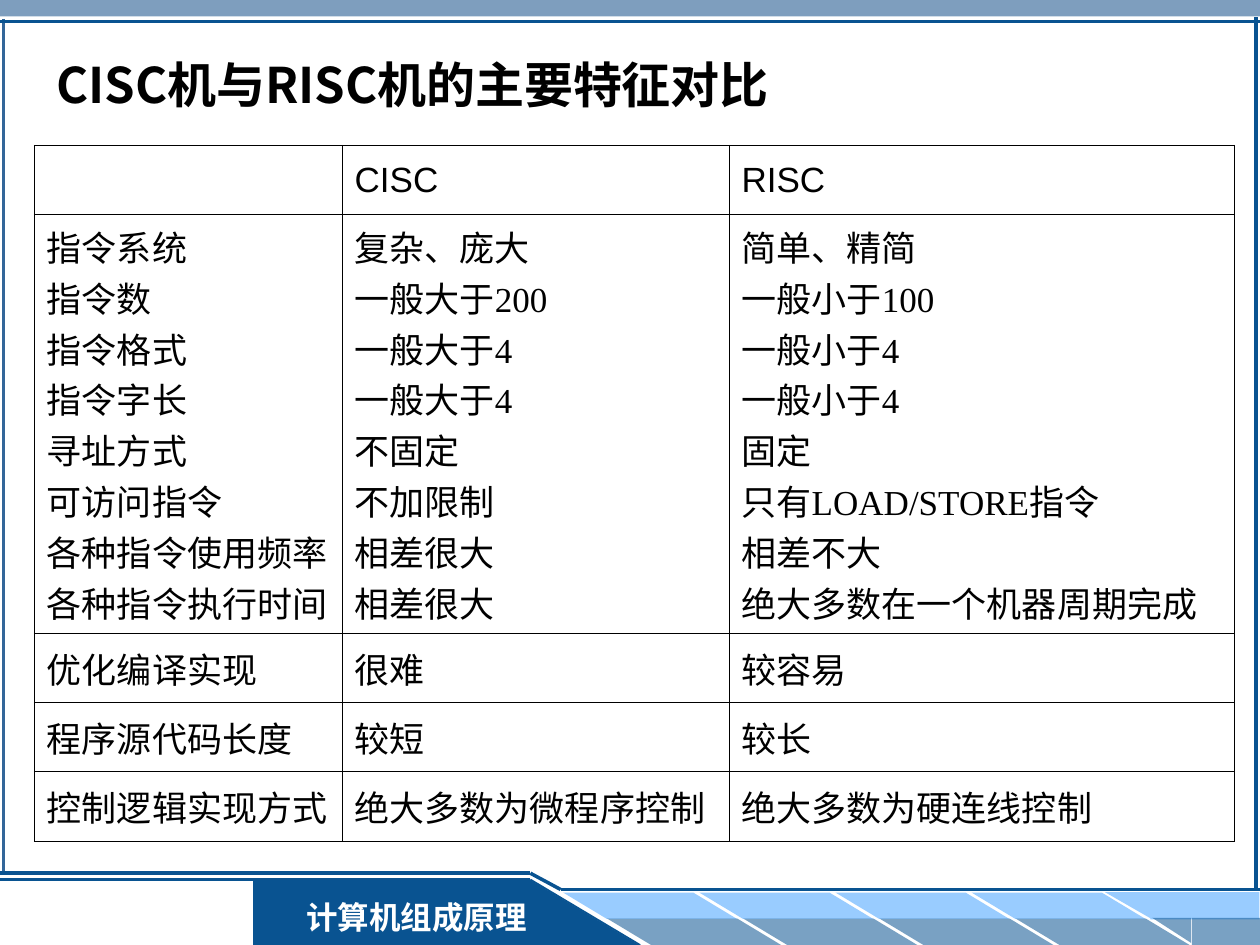
from lxml import etree
from pptx import Presentation
from pptx.dml.color import RGBColor
from pptx.enum.shapes import MSO_CONNECTOR, MSO_SHAPE
from pptx.enum.text import MSO_ANCHOR, PP_ALIGN
from pptx.oxml.ns import qn
from pptx.util import Pt

RECT, SLANT, TRIANGLE = MSO_SHAPE.RECTANGLE, MSO_SHAPE.PARALLELOGRAM, MSO_SHAPE.RIGHT_TRIANGLE
STRAIGHT = MSO_CONNECTOR.STRAIGHT
MIDDLE = MSO_ANCHOR.MIDDLE
LEFT, CENTER = PP_ALIGN.LEFT, PP_ALIGN.CENTER
COLORS = {"navy": "095391", "steel": "336699", "sky": "99CCFF", "black": "000000", "white": "FFFFFF"}
CJK, SERIF, SANS = "Noto Sans CJK SC", "Times New Roman", "Arial"
COLUMNS = [175.9, 221.1, 289.1]
ROWS = [39.6, 239.2, 39.6, 39.6, 39.6]
FEATURES = [
    ["", "CISC", "RISC"],
    [
        "指令系统\n指令数\n指令格式\n指令字长\n寻址方式\n可访问指令\n各种指令使用频率\n各种指令执行时间",
        "复杂、庞大\n一般大于200\n一般大于4\n一般大于4\n不固定\n不加限制\n相差很大\n相差很大",
        "简单、精简\n一般小于100\n一般小于4\n一般小于4\n固定\n只有LOAD/STORE指令\n相差不大\n绝大多数在一个机器周期完成",
    ],
    ["优化编译实现", "很难", "较容易"],
    ["程序源代码长度", "较短", "较长"],
    ["控制逻辑实现方式", "绝大多数为微程序控制", "绝大多数为硬连线控制"],
]


class SlideBuilder:
    """Holds the style and the current slide, and adds elements to it."""

    def __init__(self, page):
        self.page = page

    def color(self, name):
        return RGBColor.from_string(COLORS[name])

    def shape(self, kind, left, top, width, height, fill, alpha=100, flip="", slant=None):
        shape = self.page.shapes.add_shape(kind, Pt(left), Pt(top), Pt(width), Pt(height))
        shape.shadow.inherit = False
        shape.line.fill.background()
        shape.fill.solid()
        shape.fill.fore_color.rgb = self.color(fill)
        properties = shape.element.spPr
        if alpha < 100:
            tint = properties.find(qn("a:solidFill"))[0]
            etree.SubElement(tint, qn("a:alpha"), val=str(alpha * 1000))
        for axis in flip:
            properties.find(qn("a:xfrm")).set("flip" + axis, "1")
        if slant:
            shape.adjustments[0] = slant
        return shape

    def line(self, x1, y1, x2, y2, color="navy", width=2):
        line = self.page.shapes.add_connector(STRAIGHT, Pt(x1), Pt(y1), Pt(x2), Pt(y2))
        line.line.color.rgb = self.color(color)
        line.line.width = Pt(width)
        etree.SubElement(line.element.spPr, qn("a:effectLst"))

    def fill_text(self, frame, text, size, font=SERIF, color="black", bold=False, align=LEFT):
        frame.word_wrap = True
        frame.vertical_anchor = MIDDLE
        frame.text = text
        style = {"name": font, "size": Pt(size), "bold": bold}
        for para in frame.paragraphs:
            para.alignment = align
            for span in para.runs:
                for key, value in style.items():
                    setattr(span.font, key, value)
                span.font.color.rgb = self.color(color)
                latin = span.font._element.find(qn("a:latin"))
                latin.addnext(latin.makeelement(qn("a:ea"), {"typeface": CJK}))

    def text(self, left, top, width, height, text, size, **style):
        box = self.page.shapes.add_textbox(Pt(left), Pt(top), Pt(width), Pt(height))
        self.fill_text(box.text_frame, text, size, **style)

    def border(self, cell):
        properties = cell._tc.get_or_add_tcPr()
        for position, side in enumerate(("lnL", "lnR", "lnT", "lnB")):
            edge = properties.makeelement(qn("a:" + side), {"w": str(Pt(0.45))})
            paint = etree.SubElement(edge, qn("a:solidFill"))
            etree.SubElement(paint, qn("a:srgbClr"), val=COLORS["black"])
            properties.insert(position, edge)

    def table(self, left, top, columns, rows, content):
        frame = self.page.shapes.add_table(
            len(rows), len(columns), Pt(left), Pt(top), Pt(sum(columns)), Pt(sum(rows)))
        table = frame.table
        table.first_row = table.horz_banding = False
        for column, width in zip(table.columns, columns):
            column.width = Pt(width)
        for number, (row, height, texts) in enumerate(zip(table.rows, rows, content)):
            row.height = Pt(height)
            for cell, text in zip(row.cells, texts):
                cell.fill.background()
                cell.vertical_anchor = MIDDLE
                cell.margin_left = cell.margin_right = Pt(7.2)
                cell.margin_top = cell.margin_bottom = Pt(3.6)
                self.fill_text(cell.text_frame, text, 20, font=SERIF if number else SANS)
                self.border(cell)

    def frame(self):
        self.shape(RECT, 0, 0, 720, 9.4, "steel", alpha=63)
        self.line(2, 10.8, 2, 499, color="steel")
        self.line(0, 12.2, 720, 12.2)
        self.line(717.8, 10, 717.8, 509)

    def footer(self):
        self.shape(RECT, 144.7, 502.6, 158.6, 37.4, "navy")
        self.line(365.8, 540, 303.1, 502.6, width=1)
        self.line(303.1, 502.6, 0, 502.6, width=1.5)
        self.line(-0.7, 499, 303.1, 499)
        for index in range(4):
            left = 321.8 + 77.8 * index
            self.shape(SLANT, left, 510, 99.4, 15.1, "sky", flip="H", slant=1.66)
            self.shape(SLANT, left + 25.2, 524.9, 99.4, 15.1, "navy", alpha=54, flip="H", slant=1.66)
        self.shape(RECT, 657.4, 509.8, 62.3, 15.5, "sky")
        self.shape(TRIANGLE, 631.4, 509.8, 27, 15.5, "sky", flip="HV")
        self.shape(RECT, 681.1, 524.5, 38.9, 15.5, "navy", alpha=54)
        self.shape(TRIANGLE, 658.4, 524.5, 22.3, 14.4, "navy", alpha=54, flip="HV")
        self.line(320.4, 508.3, 720, 508.3)
        label = self.shape(RECT, 164.2, 509.8, 147.6, 28.8, "navy")
        self.fill_text(label.text_frame, "计算机组成原理", 18, color="white", bold=True, align=CENTER)
        self.shape(TRIANGLE, 302.6, 502.6, 62.6, 37.4, "navy")
        self.line(303.1, 499, 320.4, 508.3)


def main():
    deck = Presentation()
    deck.slide_width, deck.slide_height = Pt(720), Pt(540)
    builder = SlideBuilder(deck.slides.add_slide(deck.slide_layouts[6]))
    builder.frame()
    builder.footer()
    builder.text(25.2, 22.2, 681.8, 51.1, "CISC机与RISC机的主要特征对比", 28, font=CJK, bold=True)
    builder.table(19.6, 83, COLUMNS, ROWS, FEATURES)
    deck.save("out.pptx")


if __name__ == "__main__":
    main()
